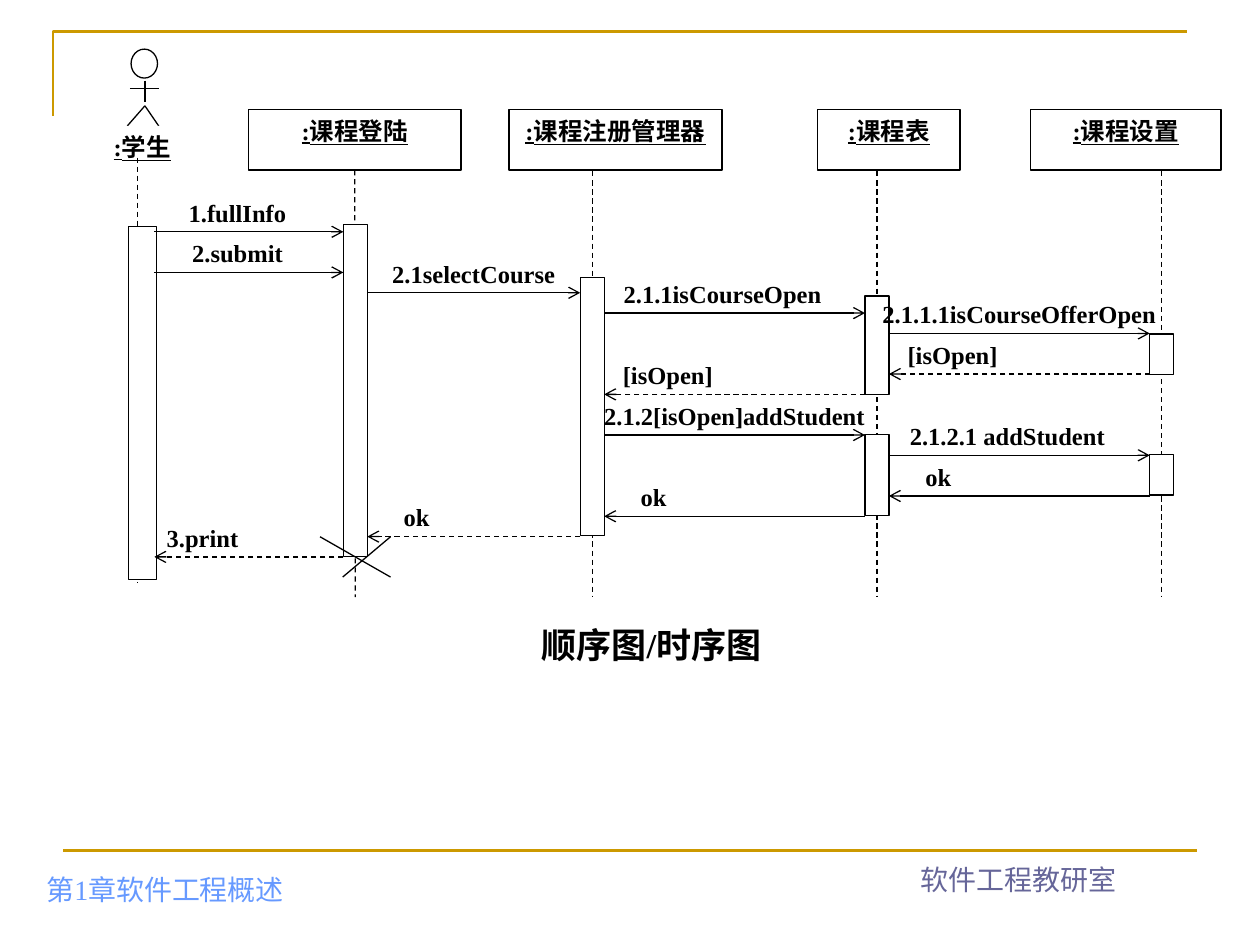
from lxml import etree
from pptx import Presentation
from pptx.dml.color import RGBColor
from pptx.enum.dml import MSO_LINE
from pptx.enum.shapes import MSO_CONNECTOR, MSO_SHAPE
from pptx.enum.text import MSO_ANCHOR, PP_ALIGN
from pptx.oxml.ns import qn
from pptx.util import Inches, Pt

FONT = "Times New Roman"
INK, PAPER, GOLD = "000000", "FFFFFF", "CC9900"
LEFT, MID = PP_ALIGN.LEFT, PP_ALIGN.CENTER
COLS = [0.66, 2.35, 4.23, 6.49, 8.75]  # centres of the activation bars
BAR = 0.19
FIRST, STEP = 1.45, 2.58 / 16  # time scale of the messages

# name, left, width, column
HEADS = [
    ("课程登陆", 1.5, 1.69, 1),
    ("课程注册管理器", 3.57, 1.69, 2),
    ("课程表", 6.02, 1.13, 3),
    ("课程设置", 7.71, 1.51, 4),
]

# column, top, height, width
BARS = [
    (0, 1.41, 2.8, 0.22),
    (1, 1.39, 2.64, BAR),
    (2, 1.81, 2.05, BAR),
    (3, 1.96, 0.78, BAR),
    (3, 3.06, 0.64, BAR),
    (4, 2.26, 0.32, BAR),
    (4, 3.22, 0.32, BAR),
]

# step, from column, to column, dashed, text, shift of label, width, alignment
CALLS = [
    (0, 0, 1, False, "1.fullInfo", 0, 1.32, MID),
    (2, 0, 1, False, "2.submit", 0, 1.32, MID),
    (3, 1, 2, False, "2.1selectCourse", 0, 1.69, MID),
    (4, 2, 3, False, "2.1.1isCourseOpen", 0, 1.88, MID),
    (5, 3, 4, False, "2.1.1.1isCourseOfferOpen", -BAR, 2.45, MID),
    (7, 4, 3, True, "[isOpen]", 0.05, 2.4, LEFT),
    (8, 3, 2, True, "[isOpen]", 0.05, 1.64, LEFT),
    (10, 2, 3, False, "2.1.2[isOpen]addStudent", -BAR, 2.45, MID),
    (11, 3, 4, False, "2.1.2.1 addStudent", 0, 1.88, MID),
    (13, 4, 3, False, "ok", BAR, 1.51, LEFT),
    (14, 3, 2, False, "ok", BAR, 1.51, LEFT),
    (15, 2, 1, True, "ok", BAR, 1.51, LEFT),
    (16, 1, 0, True, "3.print", 0, 1.51, LEFT),
]


def rgb(code):
    return RGBColor.from_string(code)


def write(shape, text, size=14, color=INK, bold=True, line=False,
          align=MID, anchor=MSO_ANCHOR.TOP):
    frame = shape.text_frame
    frame.word_wrap = True
    frame.vertical_anchor = anchor
    para = frame.paragraphs[0]
    para.alignment = align
    run = para.add_run()
    run.text = text
    font = run.font
    font.name, font.size, font.bold = FONT, Pt(size), bold
    font.underline = line
    font.color.rgb = rgb(color)


def label(slide, x, y, w, h, text, **style):
    box = slide.shapes.add_textbox(Inches(x), Inches(y), Inches(w), Inches(h))
    write(box, text, **style)
    return box


def block(slide, x, y, w, h, kind=MSO_SHAPE.RECTANGLE, fill=PAPER):
    shape = slide.shapes.add_shape(kind, Inches(x), Inches(y), Inches(w), Inches(h))
    shape.shadow.inherit = False
    if fill:
        shape.fill.solid()
        shape.fill.fore_color.rgb = rgb(fill)
    else:
        shape.fill.background()
    shape.line.color.rgb = rgb(INK)
    shape.line.width = Pt(0.75)
    return shape


def stroke(slide, x1, y1, x2, y2, color=INK, width=0.75, dash=False, arrow=False):
    link = slide.shapes.add_connector(
        MSO_CONNECTOR.STRAIGHT, Inches(x1), Inches(y1), Inches(x2), Inches(y2))
    link.line.color.rgb = rgb(color)
    link.line.width = Pt(width)
    if dash:
        link.line.dash_style = MSO_LINE.DASH
    props = link.line._get_or_add_ln()
    if arrow:
        etree.SubElement(props, qn("a:tailEnd"), type="arrow")
    etree.SubElement(props.getparent(), qn("a:effectLst"))
    return link


def border(slide, x, y, w, h):
    """Open corner at the top left and a rule at the bottom."""
    form = slide.shapes.build_freeform(Inches(x), Inches(y + 0.67))
    form.add_line_segments(
        [(Inches(x), Inches(y)), (Inches(x + w), Inches(y))], close=False)
    edge = form.convert_to_shape()
    edge.shadow.inherit = False
    edge.fill.background()
    edge.line.color.rgb = rgb(GOLD)
    edge.line.width = Pt(1.5)
    stroke(slide, x + 0.08, y + h, x + w + 0.08, y + h, GOLD, 1.5)


def footer(slide, x, y):
    style = dict(size=16, bold=False, anchor=MSO_ANCHOR.BOTTOM)
    label(slide, x, y + 0.08, 3.15, 0.5, "第1章软件工程概述",
          color="6699FF", align=LEFT, **style)
    label(slide, x + 6.23, y, 3.17, 0.5, "软件工程教研室", color="666699", **style)


def actor(slide, x, y):
    block(slide, x + 0.57, y, 0.21, 0.23, MSO_SHAPE.OVAL, None)
    limbs = [(0.68, 0.45, 0.54, 0.61), (0.68, 0.45, 0.79, 0.61),
             (0.68, 0.25, 0.68, 0.42), (0.56, 0.31, 0.79, 0.31)]
    for x1, y1, x2, y2 in limbs:
        stroke(slide, x + x1, y + y1, x + x2, y + y2)
    name = block(slide, x, y + 0.61, 1.32, 0.46)
    name.line.fill.background()
    write(name, ":学生", line=True)
    stroke(slide, x + 0.62, y + 0.86, x + 0.62, y + 4.24, dash=True)


def heads(slide, x, y):
    for name, left, w, col in HEADS:
        head = block(slide, x + left, y + 0.48, w, 0.48)
        write(head, ":" + name, line=True)
        mid = x + COLS[col]
        life = stroke(slide, mid, y + 0.97, mid, y + 4.35, dash=True)
        if abs(left + w / 2 - COLS[col]) < 0.01:
            life.begin_connect(head, 2)


def call(slide, x, y, src, dst, dash, text, shift, w, align):
    way = BAR / 2 if src < dst else -BAR / 2
    start, end = x + COLS[src] + way, x + COLS[dst] - way
    stroke(slide, start, y, end, y, dash=dash, arrow=True)
    label(slide, min(start, end) + shift, y - 0.32, w, 0.48, text, align=align)


def diagram(slide, x, y):
    actor(slide, x, y)
    heads(slide, x, y)
    for col, top, h, w in BARS:
        block(slide, x + COLS[col] - w / 2, y + top, w, h)
    for step, *rest in CALLS:
        call(slide, x, y + FIRST + step * STEP, *rest)
    for x1, x2 in [(2.07, 2.63), (2.63, 2.25)]:
        stroke(slide, x + x1, y + 3.87, x + x2, y + 4.19)
    label(slide, x + 3.57, y + 4.51, 2.26, 0.64, "顺序图/时序图", size=20)


def main():
    deck = Presentation()
    deck.slide_width, deck.slide_height = Inches(10), Inches(7.5)
    slide = deck.slides.add_slide(deck.slide_layouts[6])
    border(slide, 0.42, 0.25, 9, 6.5)
    footer(slide, 0.27, 6.66)
    diagram(slide, 0.47, 0.39)
    deck.save("out.pptx")


if __name__ == "__main__":
    main()
